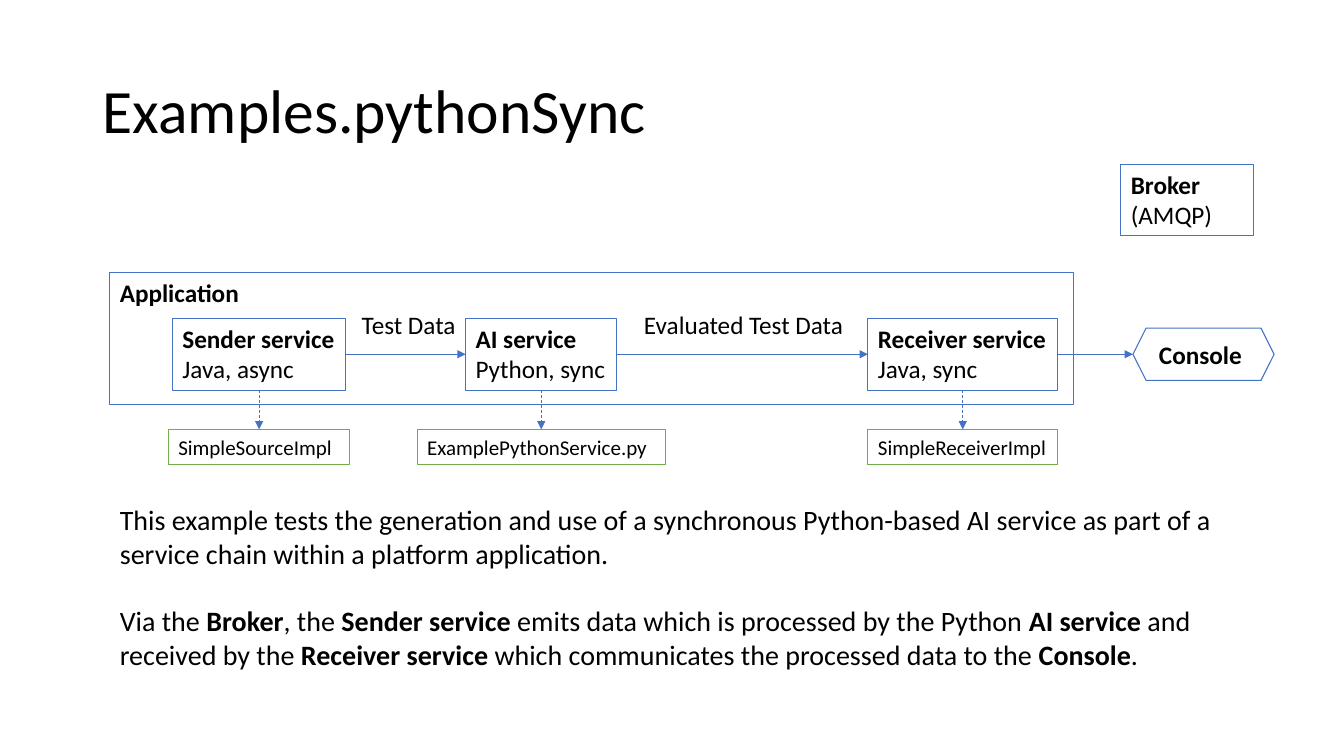
from lxml import etree
from pptx import Presentation
from pptx.dml.color import RGBColor
from pptx.enum.dml import MSO_LINE as DASH
from pptx.enum.shapes import MSO_CONNECTOR as CONN, MSO_SHAPE as SHAPE
from pptx.enum.text import MSO_ANCHOR as ANCHOR, PP_ALIGN as ALIGN
from pptx.oxml.ns import qn
from pptx.util import Inches, Pt

COLORS = {"text": "000000", "service": "4472C4", "impl": "70AD47"}

prs = Presentation()
prs.slide_width, prs.slide_height = Inches(13.333), Inches(7.5)
s = prs.slides.add_slide(prs.slide_layouts[6])
# Lengths are percentages of the slide's width and height
W, H = prs.slide_width / 100, prs.slide_height / 100


def add_text(text, x, y, w, h, size=18, line=None, shape=SHAPE.RECTANGLE,
             anchor=ANCHOR.TOP, wrap=True, spacing=None, gap=0):
    """Add a box with one paragraph per line; **double stars** mark bold."""
    box = [int(x * W), int(y * H), int(w * W), int(h * H)]
    if line:
        sp = s.shapes.add_shape(shape, *box)
        sp.shadow.inherit = False
        sp.fill.background()
        sp.line.color.rgb = RGBColor.from_string(COLORS[line])
        sp.line.width = Pt(0.75)
    else:
        sp = s.shapes.add_textbox(*box)
    tf = sp.text_frame
    tf.word_wrap, tf.vertical_anchor = wrap, anchor
    for i, content in enumerate(text.split("\n")):
        p = tf.paragraphs[0] if i == 0 else tf.add_paragraph()
        p.alignment = ALIGN.LEFT
        p.space_before = Pt(gap if i else 0)
        if spacing:
            p.line_spacing = spacing
        for j, part in enumerate(content.split("**")):
            if part:
                r = p.add_run()
                r.text = part
                r.font.name, r.font.size = "Calibri", Pt(size)
                r.font.bold = j % 2 == 1
                r.font.color.rgb = RGBColor.from_string(COLORS["text"])
    return sp


def add_arrow(start, site, end=None, end_site=None, point=(0, 0), dash=None):
    """Join a box to another box, or to a point given in percent."""
    c = s.shapes.add_connector(CONN.STRAIGHT, 0, 0, int(point[0] * W), int(point[1] * H))
    c.begin_connect(start, site)
    if end is not None:
        c.end_connect(end, end_site)
    c.line.color.rgb = RGBColor.from_string(COLORS["service"])
    c.line.width = Pt(0.5)
    if dash:
        c.line.dash_style = dash
    ln = c.line._get_or_add_ln()
    etree.SubElement(ln, qn("a:tailEnd"), type="triangle")
    etree.SubElement(c._element.spPr, qn("a:effectLst"))


# Title and explanation
add_text("Examples.pythonSync", 6.9, 5.33, 86.25, 19.33, size=44,
         anchor=ANCHOR.MIDDLE, spacing=0.9)
add_text("This example tests the generation and use of a synchronous Python-based "
         "AI service as part of a service chain within a platform application.\n"
         "Via the **Broker**, the **Sender service** emits data which is processed by "
         "the Python **AI service** and received by the **Receiver service** which "
         "communicates the processed data to the **Console**.",
         8.18, 65.87, 85.13, 23.73, size=20, gap=24)

# Application frame, broker and console
SERVICE_Y, SERVICE_H = 42.13, 9.47
MID_Y = SERVICE_Y + SERVICE_H / 2
CONSOLE_X, CONSOLE_H = 84.3, 6.93
add_text("**Application**", 8.18, 36, 71.7, 17.47, line="service")
add_text("**Broker**\n(AMQP)", 83.4, 21.73, 9.9, SERVICE_H, line="service")
add_text("**Console**", CONSOLE_X, MID_Y - CONSOLE_H / 2, 10.5, CONSOLE_H,
         line="service", shape=SHAPE.HEXAGON, anchor=ANCHOR.MIDDLE, wrap=False)

# Services, each with its implementation centred below
SERVICES = [
    ("**Sender service**\nJava, async", 12.83, 12.9, "SimpleSourceImpl", 13.5),
    ("**AI service**\nPython, sync", 34.65, 11.25, "ExamplePythonService.py", 18.45),
    ("**Receiver service**\nJava, sync", 64.58, 14.1, "SimpleReceiverImpl", 14.1),
]
services = []
for text, x, w, impl_name, impl_w in SERVICES:
    service = add_text(text, x, SERVICE_Y, w, SERVICE_H, line="service", wrap=False)
    impl = add_text(impl_name, x + (w - impl_w) / 2, 56.8, impl_w, 4.67, size=15,
                    line="impl", wrap=False)
    add_arrow(service, 2, impl, 0, dash=DASH.DASH)
    services.append(service)

# Data flow from service to service and on to the console
for start, end in zip(services, services[1:]):
    add_arrow(start, 3, end, 1)
add_arrow(services[-1], 3, point=(CONSOLE_X, MID_Y))
for text, x, w in [("Test Data", 26.18, 8.55), ("Evaluated Test Data", 47.18, 16.5)]:
    add_text(text, x, 40.27, w, 5.33, wrap=False)

prs.save("out.pptx")
